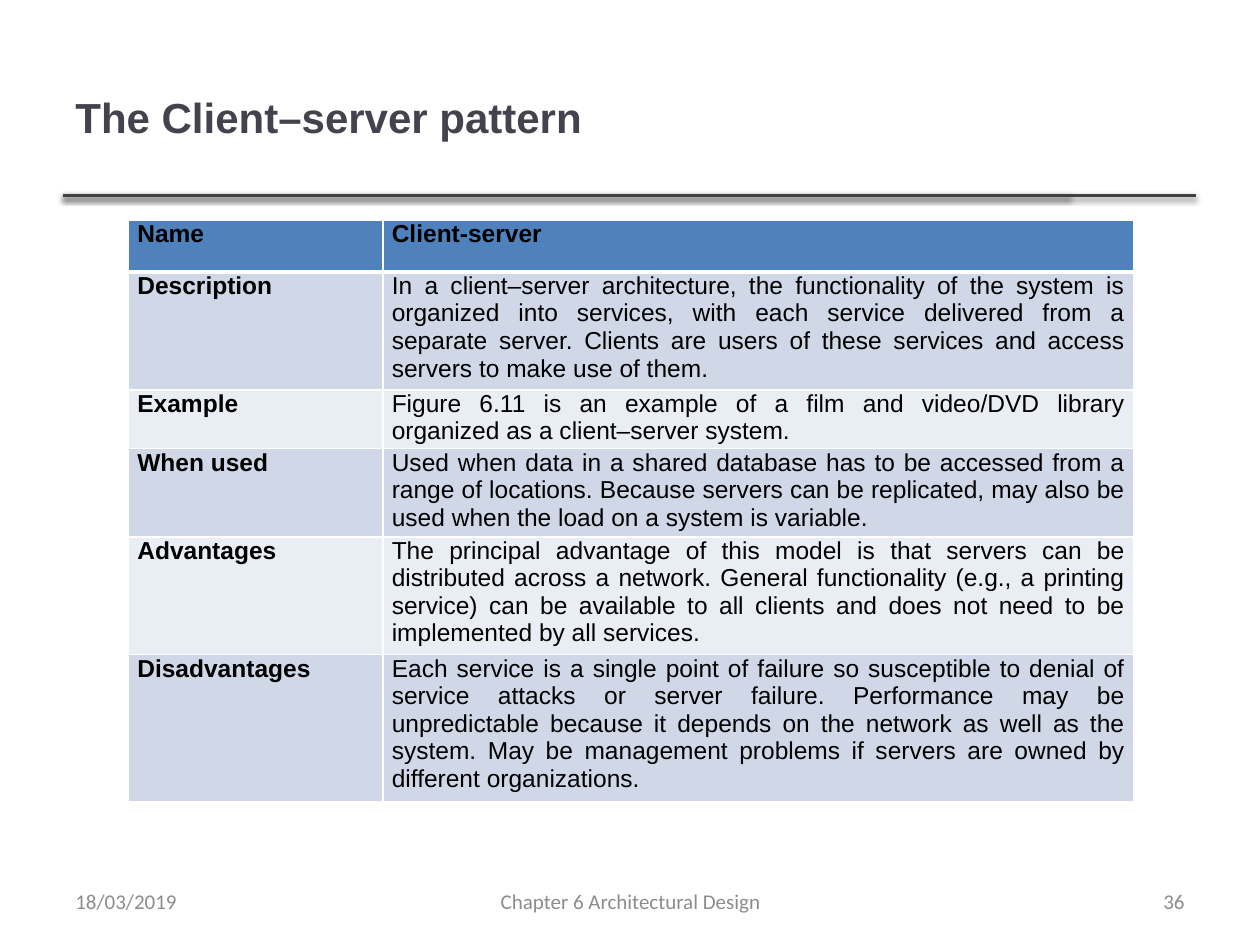
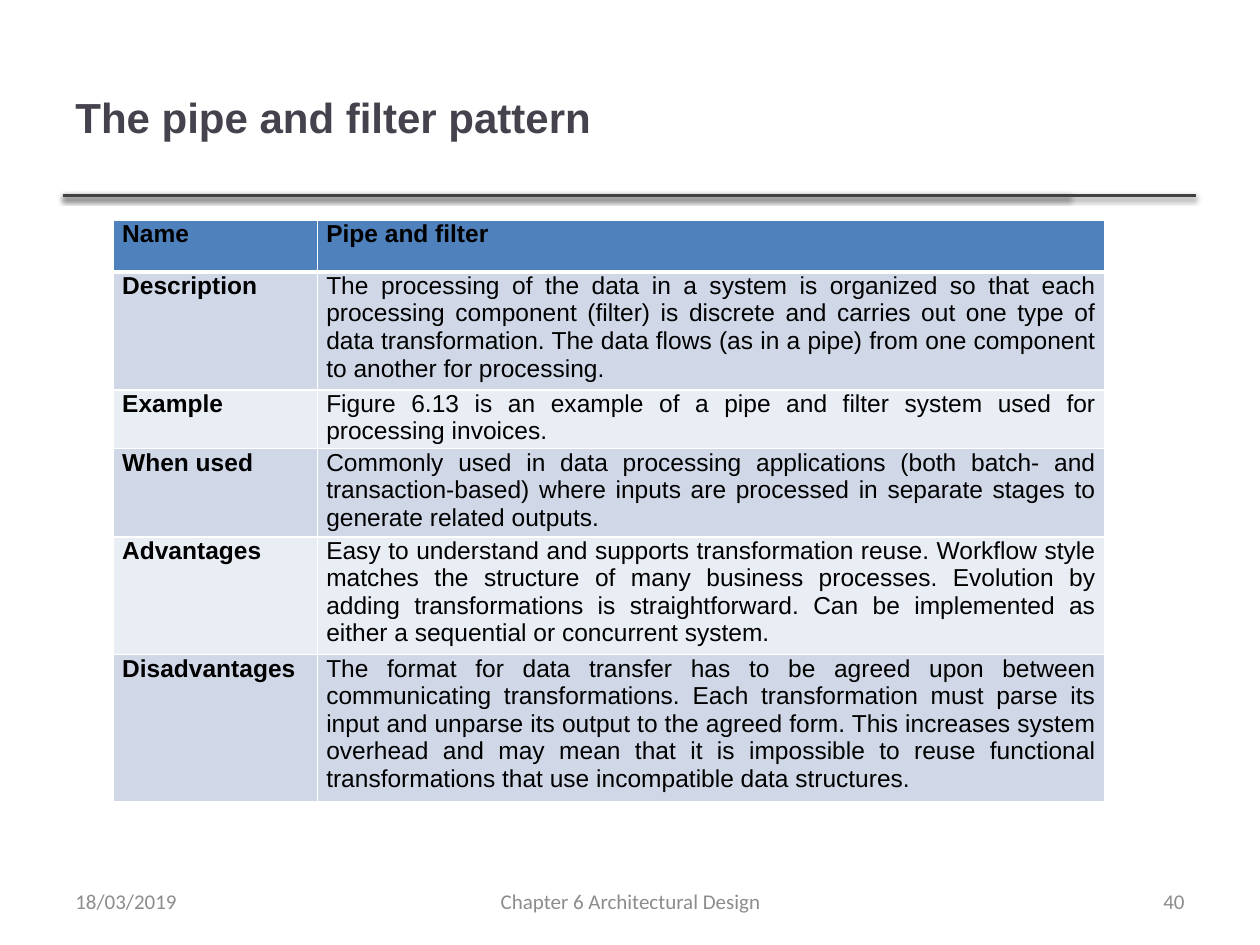
"""Build two slides that describe architectural patterns in tables."""
from lxml import etree
from pptx import Presentation
from pptx.dml.color import RGBColor
from pptx.enum.shapes import MSO_CONNECTOR
from pptx.enum.text import MSO_ANCHOR, PP_ALIGN
from pptx.oxml import parse_xml
from pptx.util import Pt

PX = 9144
LEFT, CENTER, RIGHT, JUSTIFY = PP_ALIGN.LEFT, PP_ALIGN.CENTER, PP_ALIGN.RIGHT, PP_ALIGN.JUSTIFY
MIDDLE, TOP = MSO_ANCHOR.MIDDLE, MSO_ANCHOR.TOP
STRAIGHT = MSO_CONNECTOR.STRAIGHT

TITLE_COLOR, RULE_COLOR, FOOTER_COLOR = "46424D", "404040", "8C8C8C"
TEXT_COLOR, BORDER_COLOR = "000000", "FFFFFF"
HEADER_FILL, BAND_FILLS = "4F81BD", ("E9EDF4", "D0D8E8")

DRAWING = "http://schemas.openxmlformats.org/drawingml/2006/main"
RULE_SHADOW = (
    f'<a:effectLst xmlns:a="{DRAWING}"><a:outerShdw blurRad="39370" dist="20320" dir="5400000" '
    'rotWithShape="0"><a:srgbClr val="000000"><a:alpha val="38000"/></a:srgbClr>'
    '</a:outerShdw></a:effectLst>'
)
ROW_LABELS = ("Name", "Description", "Example", "When used", "Advantages", "Disadvantages")
PATTERNS = [
    {
        "title": "The Client–server pattern",
        "number": "36",
        "left": 102,
        "columns": (202, 596),
        "details": (
            "Client-server",
            "In a client–server architecture, the functionality of the system is organized into "
            "services, with each service delivered from a separate server. Clients are users of "
            "these services and access servers to make use of them.",
            "Figure 6.11 is an example of a film and video/DVD library organized as a "
            "client–server system.",
            "Used when data in a shared database has to be accessed from a range of locations. "
            "Because servers can be replicated, may also be used when the load on a system is "
            "variable.",
            "The principal advantage of this model is that servers can be distributed across a "
            "network. General functionality (e.g., a printing service) can be available to all "
            "clients and does not need to be implemented by all services.",
            "Each service is a single point of failure so susceptible to denial of service "
            "attacks or server failure. Performance may be unpredictable because it depends on "
            "the network as well as the system. May be management problems if servers are owned "
            "by different organizations.",
        ),
    },
    {
        "title": "The pipe and filter pattern",
        "number": "40",
        "left": 90,
        "columns": (162, 625),
        "details": (
            "Pipe and filter",
            "The processing of the data in a system is organized so that each processing "
            "component (filter) is discrete and carries out one type of data transformation. The "
            "data flows (as in a pipe) from one component to another for processing.",
            "Figure 6.13 is an example of a pipe and filter system used for processing invoices.",
            "Commonly used in data processing applications (both batch- and transaction-based) "
            "where inputs are processed in separate stages to generate related outputs.",
            "Easy to understand and supports transformation reuse. Workflow style matches the "
            "structure of many business processes. Evolution by adding transformations is "
            "straightforward. Can be implemented as either a sequential or concurrent system.",
            "The format for data transfer has to be agreed upon between communicating "
            "transformations. Each transformation must parse its input and unparse its output to "
            "the agreed form. This increases system overhead and may mean that it is impossible "
            "to reuse functional transformations that use incompatible data structures.",
        ),
    },
]


def rgb(color):
    return RGBColor.from_string(color)


def write(frame, text, size=14, font="Arial", color=TEXT_COLOR, bold=False, align=LEFT, anchor=MIDDLE):
    frame.word_wrap = True
    frame.vertical_anchor = anchor
    paragraph = frame.paragraphs[0]
    paragraph.alignment = align
    run = paragraph.add_run()
    run.text = text
    run.font.size = Pt(size)
    run.font.name = font
    run.font.bold = bold
    run.font.color.rgb = rgb(color)


deck = Presentation()
deck.slide_width, deck.slide_height = 1000 * PX, 750 * PX

for pattern in PATTERNS:
    slide = deck.slides.add_slide(deck.slide_layouts[6])

    for rule_end in (849, 949):
        rule = slide.shapes.add_connector(STRAIGHT, 50 * PX, 155 * PX, rule_end * PX, 155 * PX)
        rule.line.color.rgb = rgb(RULE_COLOR)
        rule.line.width = Pt(2)
        rule._element.spPr.append(parse_xml(RULE_SHADOW))

    title = slide.shapes.add_textbox(50 * PX, 30 * PX, 798 * PX, 125 * PX)
    write(title.text_frame, pattern["title"], size=24, color=TITLE_COLOR, bold=True)

    summary = slide.shapes.add_table(
        len(ROW_LABELS), 2, pattern["left"] * PX, 175 * PX, sum(pattern["columns"]) * PX, 461 * PX
    )
    for column, width in zip(summary.table.columns, pattern["columns"]):
        column.width = width * PX
    for row, entry in enumerate(zip(ROW_LABELS, pattern["details"])):
        summary.table.rows[row].height = 41 * PX
        for column, text in enumerate(entry):
            cell = summary.table.cell(row, column)
            cell.margin_left = cell.margin_right = 7 * PX
            cell.margin_top = cell.margin_bottom = 0
            write(cell.text_frame, text, bold=row == 0 or column == 0, align=JUSTIFY, anchor=TOP)
            properties = cell._tc.get_or_add_tcPr()
            for side in "LRTB":
                thick = (row, side) in ((0, "B"), (1, "T"))
                border = etree.SubElement(
                    properties, f"{{{DRAWING}}}ln{side}", w=str(Pt(3 if thick else 1))
                )
                border_fill = etree.SubElement(border, f"{{{DRAWING}}}solidFill")
                etree.SubElement(border_fill, f"{{{DRAWING}}}srgbClr", val=BORDER_COLOR)
            cell.fill.solid()
            cell.fill.fore_color.rgb = rgb(BAND_FILLS[row % 2] if row else HEADER_FILL)
    summary.height = 461 * PX

    for left, width, text, align in (
        (342, 317, "Chapter 6 Architectural Design", CENTER),
        (717, 233, pattern["number"], RIGHT),
        (50, 233, "18/03/2019", LEFT),
    ):
        footer = slide.shapes.add_textbox(left * PX, 695 * PX, width * PX, 40 * PX)
        write(footer.text_frame, text, size=12, font="Calibri", color=FOOTER_COLOR, align=align)

deck.save("out.pptx")
